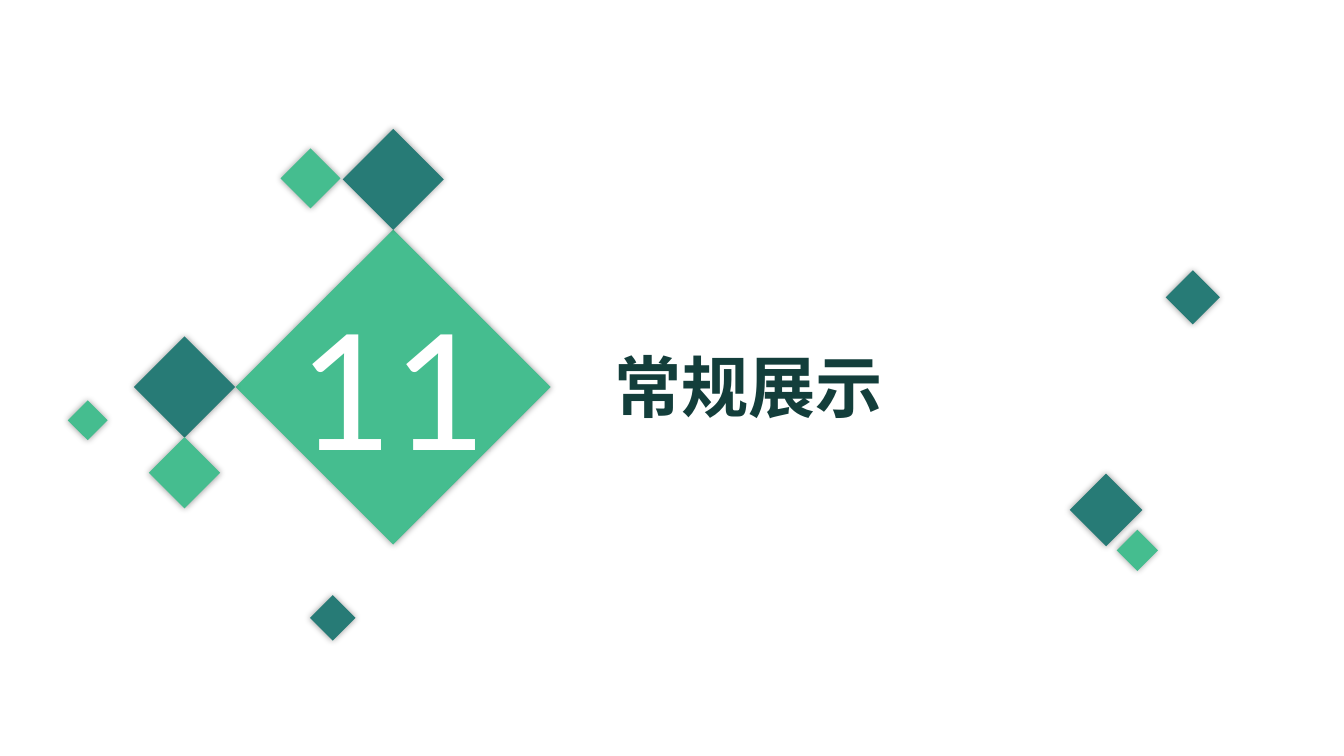
import pptx
import pptx.util
import pptx.dml.color
import pptx.enum.shapes
import pptx.enum.text
import pptx.oxml
import pptx.oxml.ns

COLORS = {"green": "45BD8F", "teal": "277B76", "ink": "133E3B", "white": "FFFFFF"}
FONT = "Lato"
SLIDE_SIZE = (13.33, 7.5)
SECTION_NUMBER = "11"
SECTION_TITLE = "常规展示"
HUB = (3.9, 3.84)
NUMBER_SIZE = (2.65, 2.04)
TITLE_BOX = (5.99, 3.38, 5.34, 0.91)

# center x, center y, side, color
DIAMONDS = [
    (*HUB, 2.21, "green"),
    (HUB[0], 1.78, 0.71, "teal"),
    (1.83, HUB[1], 0.71, "teal"),
    (1.83, 4.69, 0.5, "green"),
    (3.08, 1.77, 0.42, "green"),
    (0.87, 4.17, 0.28, "green"),
    (3.3, 6.13, 0.32, "teal"),
    (10.97, 5.06, 0.51, "teal"),
    (11.28, 5.46, 0.29, "green"),
    (11.83, 2.95, 0.38, "teal"),
]

SHADOW = (
    f'<a:outerShdw {pptx.oxml.ns.nsdecls("a")} blurRad="{pptx.util.Pt(5)}" '
    'dist="0" dir="0" algn="ctr" rotWithShape="0">'
    '<a:srgbClr val="000000"><a:alpha val="40000"/></a:srgbClr></a:outerShdw>'
)


def inches(*values):
    return [pptx.util.Inches(value) for value in values]


def color(name):
    return pptx.dml.color.RGBColor.from_string(COLORS[name])


def centered(x, y, width, height):
    return inches(x - width / 2, y - height / 2, width, height)


def add_diamond(page, x, y, side, fill):
    diamond = page.shapes.add_shape(
        pptx.enum.shapes.MSO_SHAPE.RECTANGLE, *centered(x, y, side, side)
    )
    diamond.rotation = 45
    diamond.fill.solid()
    diamond.fill.fore_color.rgb = color(fill)
    diamond.line.fill.background()
    diamond.shadow.inherit = False
    effects = diamond._element.spPr.find(pptx.oxml.ns.qn("a:effectLst"))
    effects.append(pptx.oxml.parse_xml(SHADOW))


def write(box, text, size, fill, bold, align, wrap):
    frame = box.text_frame
    frame.text = text
    frame.word_wrap = wrap
    frame.auto_size = pptx.enum.text.MSO_AUTO_SIZE.SHAPE_TO_FIT_TEXT
    frame.vertical_anchor = pptx.enum.text.MSO_ANCHOR.TOP
    para = frame.paragraphs[0]
    para.alignment = align
    span = para.runs[0]
    span.font.name = FONT
    span.font.size = pptx.util.Pt(size)
    span.font.bold = bold
    span.font.color.rgb = color(fill)


def main():
    deck = pptx.Presentation()
    deck.slide_width, deck.slide_height = inches(*SLIDE_SIZE)
    page = deck.slides.add_slide(deck.slide_layouts.get_by_name("Title Only"))
    align = pptx.enum.text.PP_ALIGN

    for diamond in DIAMONDS:
        add_diamond(page, *diamond)

    number = page.shapes.add_textbox(*centered(*HUB, *NUMBER_SIZE))
    write(number, SECTION_NUMBER, 115, "white", False, align.CENTER, False)

    title = page.shapes.title
    title.left, title.top, title.width, title.height = inches(*TITLE_BOX)
    write(title, SECTION_TITLE, 48, "ink", True, align.LEFT, True)

    deck.save("out.pptx")


if __name__ == "__main__":
    main()
